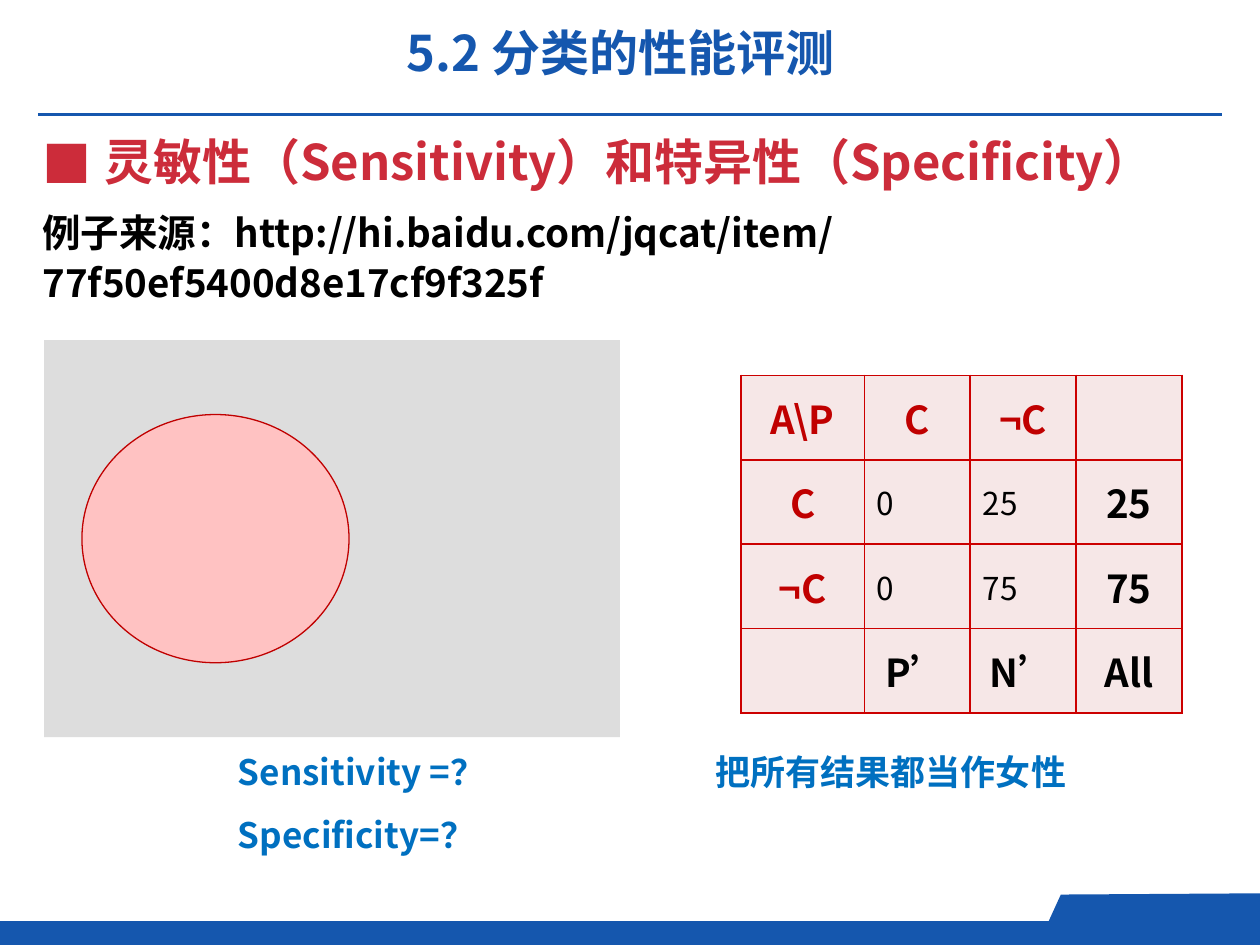
from lxml.etree import SubElement
from pptx import Presentation
from pptx.dml.color import RGBColor
from pptx.enum.shapes import MSO_CONNECTOR as Connector, MSO_SHAPE as Shape
from pptx.enum.text import MSO_ANCHOR as Anchor, PP_ALIGN as Align
from pptx.oxml.ns import qn
from pptx.util import Inches, Pt

BLUE, RED, BLACK = "1557AE", "C00000", "000000"


def color(value):
    return RGBColor.from_string(value)


class SlideBuilder:
    font = "Noto Sans CJK SC"
    cell_fill = "F6E7E7"
    border = "CC0000"

    def __init__(self, page):
        self.page = page
        self.shapes = page.shapes

    def add_span(self, para, text, size, hue, bold=True):
        span = para.add_run()
        span.text = text
        span.font.name = self.font
        span.font.size = Pt(size)
        span.font.bold = bold
        span.font.color.rgb = color(hue)
        SubElement(span.font._element, qn("a:ea"), typeface=self.font)

    def title(self, text, at):
        box = self.shapes.title
        box.left, box.top, box.width, box.height = map(Inches, at)
        frame = box.text_frame
        frame.word_wrap = True
        frame.vertical_anchor = Anchor.MIDDLE
        para = frame.paragraphs[0]
        para.alignment = Align.CENTER
        self.add_span(para, text, 28, BLUE)

    def text(self, lines, at, size, hue, spacing, bullet=None, tab=None):
        frame = self.shapes.add_textbox(*map(Inches, at)).text_frame
        frame.word_wrap = True
        for index, line in enumerate(lines):
            para = frame.add_paragraph() if index else frame.paragraphs[0]
            para.line_spacing = spacing
            props = para._p.get_or_add_pPr()
            if bullet:
                indent = Inches(0.49)
                props.set("marL", str(indent))
                props.set("indent", str(-indent))
                SubElement(props, qn("a:buFont"), typeface=self.font)
                SubElement(props, qn("a:buChar"), char=bullet)
            if tab:
                stops = SubElement(props, qn("a:tabLst"))
                SubElement(stops, qn("a:tab"), pos=str(Inches(tab)), algn="l")
            self.add_span(para, line, size, hue)

    def paint(self, shape, fill, line=None):
        shape.shadow.inherit = False
        shape.fill.solid()
        shape.fill.fore_color.rgb = color(fill)
        if line:
            shape.line.color.rgb = color(line)
            shape.line.width = Pt(0.75)
        else:
            shape.line.fill.background()

    def shape(self, kind, at, fill, line=None):
        self.paint(self.shapes.add_shape(kind, *map(Inches, at)), fill, line)

    def polygon(self, points, fill):
        start, *rest = [(Inches(x), Inches(y)) for x, y in points]
        builder = self.shapes.build_freeform(*start)
        builder.add_line_segments(rest, close=True)
        self.paint(builder.convert_to_shape(), fill)

    def rule(self, start, end, hue, width):
        line = self.shapes.add_connector(
            Connector.STRAIGHT, *map(Inches, start + end))
        line.line.color.rgb = color(hue)
        line.line.width = Pt(width)
        SubElement(line._element.spPr, qn("a:effectLst"))

    def style_cell(self, cell):
        cell.vertical_anchor = Anchor.MIDDLE
        props = cell._tc.get_or_add_tcPr()
        for side in ("lnL", "lnR", "lnT", "lnB"):
            edge = SubElement(props, qn(f"a:{side}"), w=str(Pt(1)))
            SubElement(SubElement(edge, qn("a:solidFill")),
                       qn("a:srgbClr"), val=self.border)
        cell.fill.solid()
        cell.fill.fore_color.rgb = color(self.cell_fill)

    def confusion_table(self, rows, at, widths, row_height):
        table = self.shapes.add_table(
            len(rows), len(widths), *map(Inches, at)).table
        for column, width in zip(table.columns, widths):
            column.width = Inches(width)
        for r, values in enumerate(rows):
            table.rows[r].height = Inches(row_height)
            for c, value in enumerate(values):
                cell = table.cell(r, c)
                self.style_cell(cell)
                if not value:
                    continue
                para = cell.text_frame.paragraphs[0]
                if r in (1, 2) and c in (1, 2):  # counts
                    self.add_span(para, value, 18, BLACK, bold=False)
                else:  # class labels and totals
                    para.alignment = Align.CENTER
                    is_label = (r == 0 or c == 0)
                    self.add_span(para, value, 22, RED if is_label else BLACK)


def main():
    deck = Presentation()
    deck.slide_width, deck.slide_height = Inches(10), Inches(7.5)
    slide = SlideBuilder(deck.slides.add_slide(deck.slide_layouts[5]))

    # Footer band and header rule
    slide.shape(Shape.RECTANGLE, (0, 7.31, 10, 0.19), BLUE)
    slide.polygon([(10, 7.45), (10, 7.09), (8.42, 7.1), (8.26, 7.45)], BLUE)
    slide.rule((0.3, 0.91), (9.7, 0.91), BLUE, 1.5)

    # Headings and source
    slide.title("5.2 分类的性能评测", (0.91, 0.13, 8.03, 0.57))
    slide.text(["灵敏性（Sensitivity）和特异性（Specificity）"],
               (0.24, 0.95, 9.53, 0.62), 28, "CC2C3A", 1.1, bullet="■")
    slide.text(["例子来源：http://hi.baidu.com/jqcat/item/77f50ef5400d8e17cf9f325f"],
               (0.24, 1.57, 9.37, 0.67), 22, BLACK, 1.1)

    # Questions below the diagram and the table
    slide.text(["Sensitivity =？\t把所有结果都当作女性", "Specificity=？"],
               (1.79, 5.74, 7.15, 1.61), 20, "0070C0", 1.5, tab=3.79)

    # Population diagram and confusion matrix
    slide.shape(Shape.RECTANGLE, (0.35, 2.7, 4.57, 3.15), "DDDDDD")
    slide.confusion_table(
        [["A\\P", "C", "¬C", ""],
         ["C", "0", "25", "25"],
         ["¬C", "0", "75", "75"],
         ["", "P’", "N’", "All"]],
        (5.88, 2.98, 3.5, 2.68), [0.98, 0.84, 0.84, 0.84], 0.67)
    slide.shape(Shape.OVAL, (0.65, 3.29, 2.12, 1.97), "FFC2C2", RED)

    deck.save("out.pptx")


if __name__ == "__main__":
    main()
